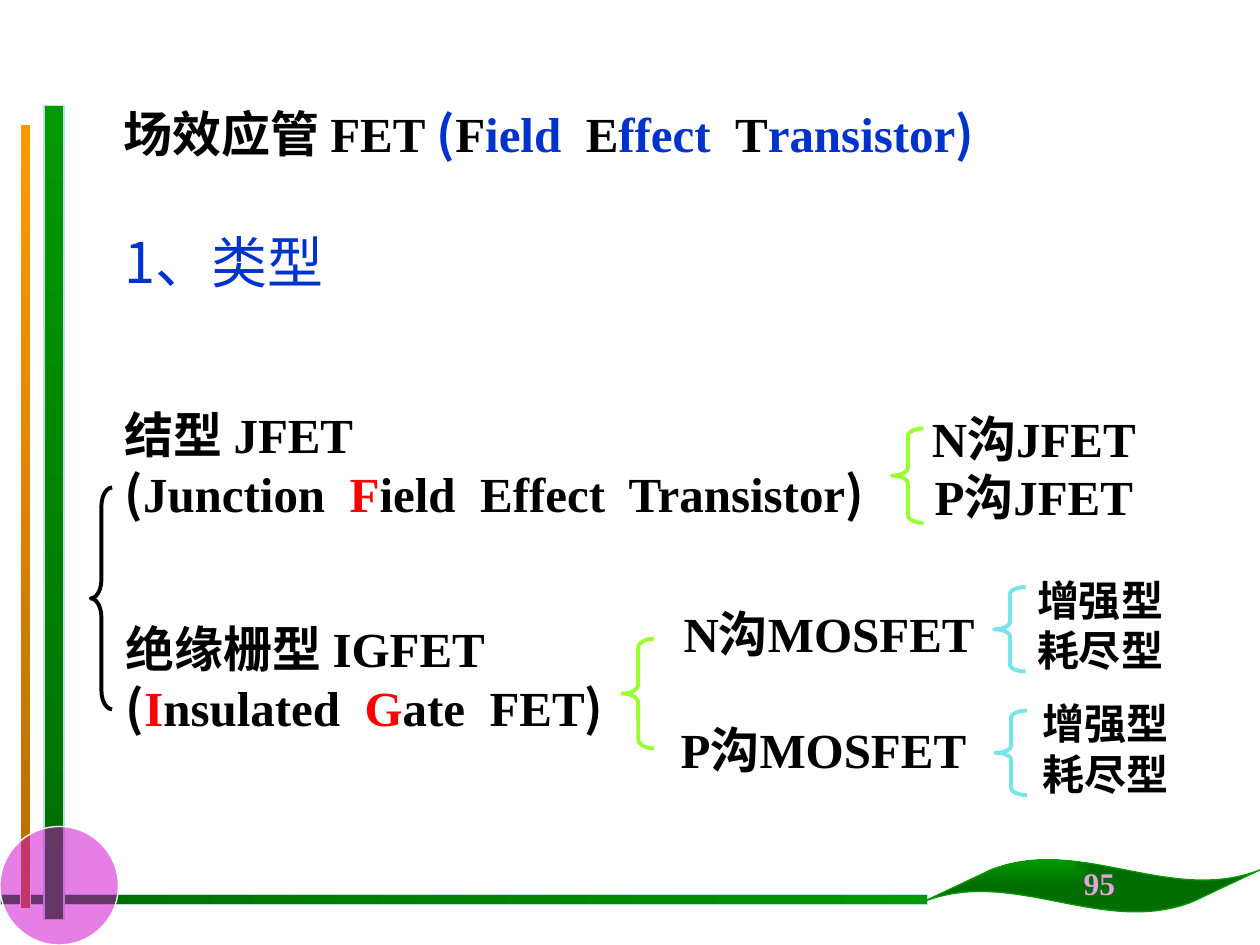
from pptx import Presentation, util as u
from pptx.dml.color import RGBColor
from pptx.enum import shapes, text
from pptx.oxml import ns
from lxml import etree

SERIF, SANS = "Times New Roman", "Noto Sans CJK SC"
BLACK, BLUE, RED = "000000", "0033CC", "FF0000"
LIME, AQUA, GREEN, DARK_GREEN = "99FF33", "75E5EB", "009900", "006D00"


def rgb(value):
    return RGBColor.from_string(value)


def add_xml(parent, tag, **attributes):
    return etree.SubElement(parent, ns.qn(tag), attributes)


def style_font(font, latin, color):
    """Set the Latin typeface, the East Asian typeface and the colour."""
    font.name = latin
    font.color.rgb = rgb(color)
    add_xml(font._element.find(ns.qn("a:latin")).getparent(), "a:ea", typeface=SANS) \
        if hasattr(font, "_element") else add_xml(font._rPr, "a:ea", typeface=SANS)


def write(shape, lines, size, bold=True, centered=False, latin=SERIF,
          color=BLACK, gap=0, wrap=True):
    """Fill a shape; a line is a string or a list of (text, colour) runs."""
    frame = shape.text_frame
    frame.word_wrap = wrap
    frame.auto_size = text.MSO_AUTO_SIZE.SHAPE_TO_FIT_TEXT
    frame.vertical_anchor = text.MSO_ANCHOR.TOP
    for index, line in enumerate(lines):
        paragraph = frame.add_paragraph() if index else frame.paragraphs[0]
        paragraph.alignment = text.PP_ALIGN.CENTER if centered else text.PP_ALIGN.LEFT
        paragraph.space_before = u.Pt(gap if index else 0)
        paragraph.font.size = u.Pt(size)
        paragraph.font.bold = bold
        if isinstance(line, str):
            style_font(paragraph.font, latin, color)
            paragraph.add_run().text = line
            continue
        for words, run_color in line:
            run = paragraph.add_run()
            run.text = words
            style_font(run.font, SANS if words in "()" else latin, run_color)


def place(shape, left, top, width, height):
    shape.left, shape.top = u.Inches(left), u.Inches(top)
    shape.width, shape.height = u.Inches(width), u.Inches(height)


def add_text(slide, box, lines, size=28, **options):
    shape = slide.shapes.add_textbox(*map(u.Inches, box))
    write(shape, lines, size, **options)
    place(shape, *box)


def add_outlined(slide, kind, box, line, weight, adjustments=()):
    shape = slide.shapes.add_shape(kind, *map(u.Inches, box))
    shape.shadow.inherit = False
    shape.line.color.rgb = rgb(line)
    shape.line.width = u.Pt(weight)
    for index, value in enumerate(adjustments):
        shape.adjustments[index] = value
    return shape


def add_brace(slide, box, color, curl):
    shape = add_outlined(slide, shapes.MSO_SHAPE.LEFT_BRACE, box, color, 2.25, (curl, 0.5))
    shape.fill.background()


def fill_gradient(shape, start, end, angle=0):
    shape.fill.gradient()
    shape.fill.gradient_angle = angle
    for stop, color in zip(shape.fill.gradient_stops, (start, end)):
        stop.color.rgb = rgb(color)


def add_bar(slide, box, colors, angle, line, weight=0.75):
    shape = add_outlined(slide, shapes.MSO_SHAPE.RECTANGLE, box, line, weight)
    fill_gradient(shape, *colors, angle)


def add_disc(slide, box):
    disc = add_outlined(slide, shapes.MSO_SHAPE.OVAL, box, "FFFFFF", 0.75)
    disc.fill.solid()
    disc.fill.fore_color.rgb = rgb("CC00CC")
    color = disc._element.spPr.find(ns.qn("a:solidFill"))[0]
    add_xml(color, "a:alpha", val="50000")


def add_leaf(slide, box):
    """Wave whose gradient spreads from its top left corner."""
    leaf = add_outlined(slide, shapes.MSO_SHAPE.WAVE, box, GREEN, 0.75, (0.206, -0.1))
    fill_gradient(leaf, GREEN, DARK_GREEN)
    gradient = leaf._element.spPr.find(ns.qn("a:gradFill"))
    gradient.remove(gradient.find(ns.qn("a:lin")))
    spread = add_xml(gradient, "a:path", path="rect")
    add_xml(spread, "a:fillToRect", r="100000", b="100000")


def add_decoration(slide):
    add_bar(slide, (0, 7.1, 7.36, 0.08), (DARK_GREEN, GREEN), 0, "BBE0E3")
    add_bar(slide, (0.35, 0.84, 0.16, 6.46), (GREEN, DARK_GREEN), 270, "BBE0E3")
    add_bar(slide, (0.16, 0.99, 0.08, 6.22), ("FF9900", "B66D00"), 270, "FFFFFF", 0.5)
    add_disc(slide, (0, 6.56, 0.94, 0.94))
    add_leaf(slide, (7.33, 6.82, 2.67, 0.42))


def add_title(slide):
    title = slide.shapes.title
    write(title, [[("场效应管 FET ", BLACK), ("(", BLUE), ("F", BLACK), ("ield  ", BLUE),
                   ("E", BLACK), ("ffect  ", BLUE), ("T", BLACK), ("ransistor", BLUE),
                   (")", BLUE)]], 28)
    place(title, 0.88, 0.77, 7.43, 0.57)


def add_families(slide):
    add_brace(slide, (0.72, 3.87, 0.17, 1.76), BLACK, 0.877)
    add_text(slide, (0.89, 3.16, 6.55, 1.03), [
        "结型 JFET",
        [("(", BLACK), ("Junction  ", BLACK), ("F", RED),
         ("ield  Effect  Transistor", BLACK), (")", BLACK)]])
    add_text(slide, (0.9, 4.86, 4.42, 1.03), [
        "绝缘栅型 IGFET",
        [("(", BLACK), ("I", RED), ("nsulated  ", BLACK), ("G", RED),
         ("ate  FET", BLACK), (")", BLACK)]])


def add_channels(slide):
    add_text(slide, (7.21, 3.19, 2.08, 1.03), ["N沟JFET ", "P沟JFET "], centered=True)
    add_brace(slide, (7.08, 3.4, 0.25, 0.75), LIME, 0.25)
    add_text(slide, (4.79, 4.74, 3.58, 1.5), ["N沟MOSFET", "P沟MOSFET "],
             centered=True, gap=33)
    add_brace(slide, (4.94, 5.07, 0.25, 0.87), LIME, 0.289)


def add_modes(slide):
    for brace_left, text_left, top in ((7.89, 7.94, 4.51), (7.9, 7.98, 5.49)):
        add_brace(slide, (brace_left, top + 0.15, 0.25, 0.67), AQUA, 0.222)
        add_text(slide, (text_left, top, 1.58, 0.9), ["增强型", "耗尽型"], 24, centered=True)


def main():
    presentation = Presentation()
    presentation.slide_width, presentation.slide_height = u.Inches(10), u.Inches(7.5)
    slide = presentation.slides.add_slide(presentation.slide_layouts[5])
    add_decoration(slide)
    add_title(slide)
    add_text(slide, (0.89, 1.76, 2.27, 0.64), ["1、类型"], 32,
             bold=False, latin=SANS, color=BLUE)
    add_families(slide)
    add_channels(slide)
    add_modes(slide)
    add_text(slide, (8.5, 6.81, 0.45, 0.4), ["95"], 18,
             centered=True, color="E4A4DC", wrap=False)
    presentation.save("out.pptx")


if __name__ == "__main__":
    main()
